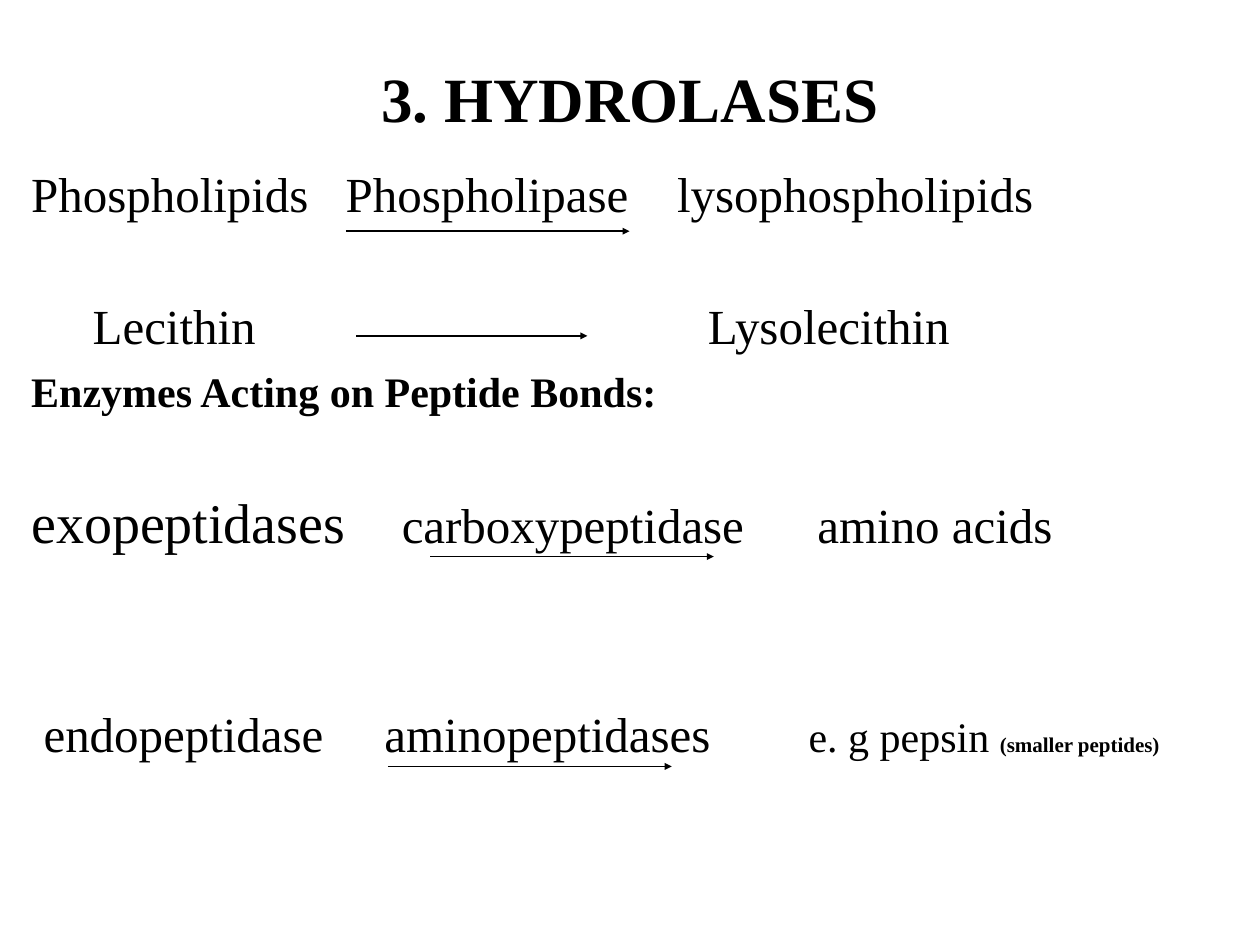
import pptx
import pptx.dml.color
import pptx.enum.shapes
import pptx.enum.text
import pptx.oxml.ns
import pptx.util
from lxml import etree
from pptx.util import Cm, Pt

THEME = {
    "font": "Times New Roman",
    "ink": pptx.dml.color.RGBColor(0, 0, 0),
    "title": 36, "large": 32, "body": 28, "medium": 24, "small": 12,
    "line": 1,
}

# Content: runs are (text, size name, bold); tab stops are in cm
TITLE = {"space": 0, "tabs": [], "runs": [("3. HYDROLASES", "title", True)]}
REACTIONS = [
    {"space": 0, "tabs": [6.34, 13.02],
     "runs": [("Phospholipids\tPhospholipase\tlysophospholipids", "body", False)]},
    {"space": 42.2, "tabs": [1.24, 13.64],
     "runs": [("\tLecithin\tLysolecithin", "body", False)]},
    {"space": 6, "tabs": [],
     "runs": [("Enzymes Acting on Peptide Bonds:", "medium", True)]},
    {"space": 41.2, "tabs": [7.47, 15.85],
     "runs": [("exopeptidases", "large", False),
              ("\tcarboxypeptidase\tamino acids", "body", False)]},
    {"space": 85, "tabs": [0.25, 7.12, 15.67],
     "runs": [("\tendopeptidase\taminopeptidases\t", "body", False),
              ("e. g pepsin ", "medium", False),
              ("(smaller peptides)", "small", True)]},
]

# Reaction arrows: left, height on the slide, length (cm)
ARROWS = [(6.97, 4.66, 5.72), (7.18, 6.77, 4.66), (8.67, 11.22, 5.72), (7.82, 15.45, 5.72)]


def add_element(parent, tag, **attributes):
    return etree.SubElement(parent, pptx.oxml.ns.qn(tag), attributes)


def fill_paragraph(paragraph, content, alignment):
    settings = {"alignment": alignment, "space_before": Pt(content["space"])}
    for name, value in settings.items():
        setattr(paragraph, name, value)
    if content["tabs"]:
        tab_list = add_element(paragraph._p.get_or_add_pPr(), "a:tabLst")
        for stop in content["tabs"]:
            add_element(tab_list, "a:tab", pos=str(Cm(stop)), algn="l")
    for text, size, bold in content["runs"]:
        run = paragraph.add_run()
        run.text = text
        font_format = {"name": THEME["font"], "size": Pt(THEME[size]), "bold": bold}
        for name, value in font_format.items():
            setattr(run.font, name, value)
        run.font.color.rgb = THEME["ink"]


def add_text(slide, box, paragraphs, alignment, frame_format):
    frame = slide.shapes.add_textbox(*map(Cm, box)).text_frame
    for name, value in {"word_wrap": True, **frame_format}.items():
        setattr(frame, name, value)
    for index, content in enumerate(paragraphs):
        paragraph = frame.add_paragraph() if index else frame.paragraphs[0]
        fill_paragraph(paragraph, content, alignment)


def add_arrow(slide, left, top, length):
    connector = slide.shapes.add_connector(
        pptx.enum.shapes.MSO_CONNECTOR.STRAIGHT,
        Cm(left), Cm(top), Cm(left + length), Cm(top))
    connector.line.color.rgb = THEME["ink"]
    connector.line.width = Pt(THEME["line"])
    add_element(connector.line._get_or_add_ln(), "a:tailEnd",
                type="triangle", w="sm", len="sm")
    add_element(connector._element.spPr, "a:effectLst")


def main():
    presentation = pptx.Presentation()
    presentation.slide_width, presentation.slide_height = Cm(25.4), Cm(19.05)
    slide = presentation.slides.add_slide(presentation.slide_layouts[6])

    # Title
    add_text(slide, (1.27, 0.76, 22.86, 2.41), [TITLE],
             pptx.enum.text.PP_ALIGN.CENTER,
             {"vertical_anchor": pptx.enum.text.MSO_ANCHOR.MIDDLE})
    # Reactions
    add_text(slide, (0.38, 3.18, 24.38, 15.24), REACTIONS,
             pptx.enum.text.PP_ALIGN.LEFT,
             {"vertical_anchor": pptx.enum.text.MSO_ANCHOR.TOP, "margin_top": Cm(0.11)})
    # Arrows
    for arrow in ARROWS:
        add_arrow(slide, *arrow)

    presentation.save("out.pptx")


if __name__ == "__main__":
    main()
